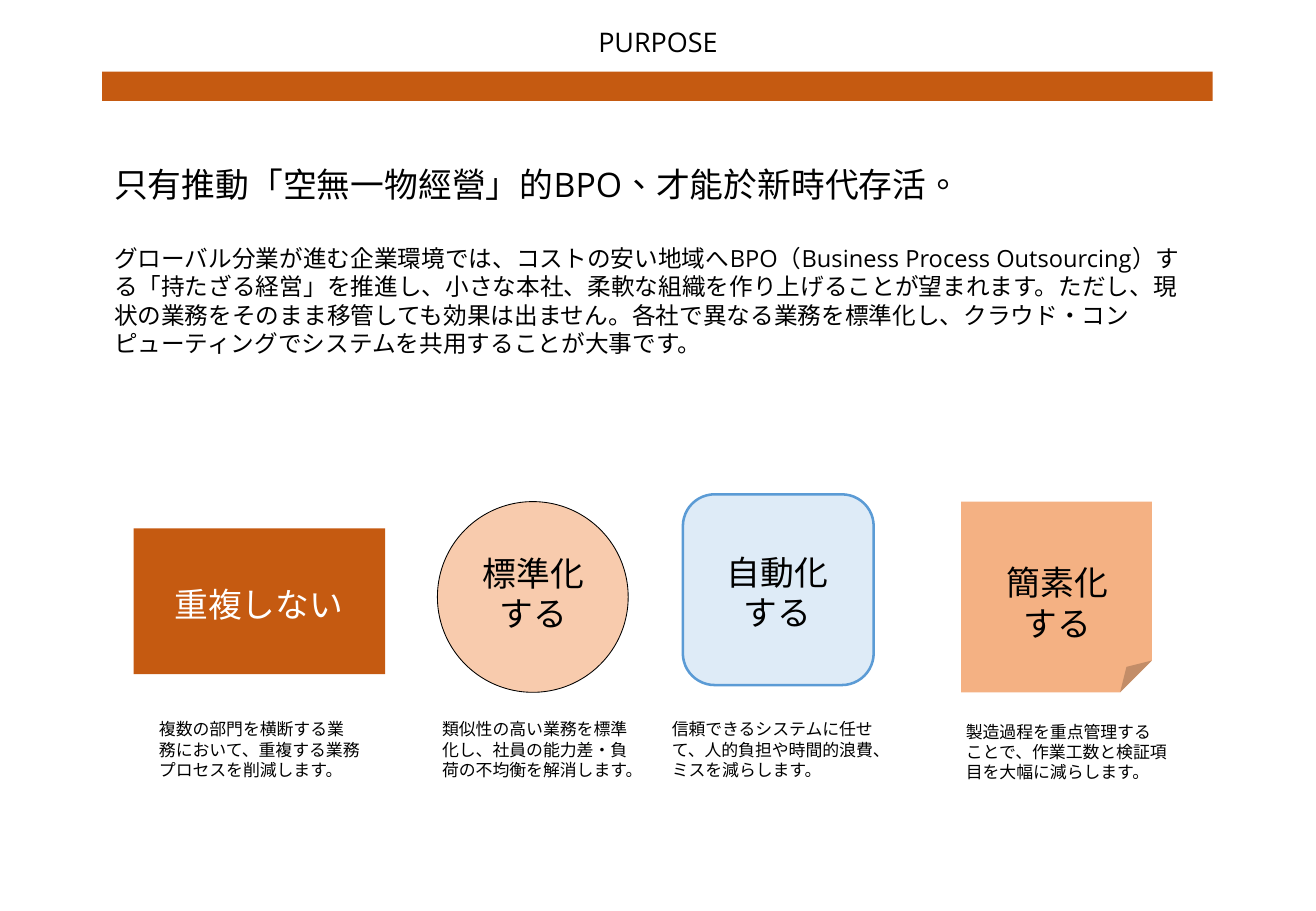
from pptx import Presentation
from pptx import util as u
from pptx.dml.color import RGBColor
from pptx.enum import lang, shapes, text
from pptx.oxml.ns import qn
from lxml import etree

PX = 9144  # 100 px to the inch
BODY_FONT = "Open Sans"
LABEL_FONT = "Noto Sans CJK JP"
ORANGE, BLACK, WHITE = "C55A11", "000000", "FFFFFF"
JAPANESE = lang.MSO_LANGUAGE_ID.JAPANESE
CHINESE = lang.MSO_LANGUAGE_ID.TRADITIONAL_CHINESE
SHAPE = shapes.MSO_SHAPE

HEADING = "只有推動「空無一物經營」的BPO、才能於新時代存活。"
SUMMARY = (
    "グローバル分業が進む企業環境では、コストの安い地域へBPO（Business Process Outsourcing）"
    "する「持たざる経営」を推進し、小さな本社、柔軟な組織を作り上げることが望まれます。"
    "ただし、現状の業務をそのまま移管しても効果は出ません。各社で異なる業務を標準化し、"
    "クラウド・コンピューティングでシステムを共用することが大事です。"
)

# shape kind, shape box, fill, (line colour, width), label, label box, label colour, note, note left and top
PRINCIPLES = [
    (SHAPE.RECTANGLE, (110, 435, 207, 120), ORANGE, None,
     "重複しない", (133, 476, 160, 44), WHITE,
     "複数の部門を横断する業務において、重複する業務プロセスを削減します。", (121, 587)),
    (SHAPE.OVAL, (360, 413, 157, 157), "F8CBAD", (BLACK, 0.5),
     "標準化\nする", (387, 450, 104, 77), BLACK,
     "類似性の高い業務を標準化し、社員の能力差・負荷の不均衡を解消します。", (354, 587)),
    (SHAPE.ROUNDED_RECTANGLE, (562, 407, 157, 157), "DEEBF7", ("5B9BD5", 1.5),
     "自動化\nする", (588, 449, 104, 77), BLACK,
     "信頼できるシステムに任せて、人的負担や時間的浪費、ミスを減らします。", (543, 587)),
    (SHAPE.FOLDED_CORNER, (791, 413, 157, 157), "F4B183", None,
     "簡素化\nする", (818, 458, 104, 77), BLACK,
     "製造過程を重点管理することで、作業工数と検証項目を大幅に減らします。", (785, 589)),
]


def color(value):
    return RGBColor.from_string(value)


def emu(box):
    return [length * PX for length in box]


def write(frame, content, size, font=BODY_FONT, fill=BLACK, centered=False,
          wrap=True, language=JAPANESE):
    """Put one paragraph into a text frame and format it."""
    frame.word_wrap = wrap
    frame.auto_size = text.MSO_AUTO_SIZE.NONE
    frame.vertical_anchor = text.MSO_ANCHOR.TOP
    paragraph = frame.paragraphs[0]
    paragraph.text = content
    paragraph.alignment = text.PP_ALIGN.CENTER if centered else text.PP_ALIGN.LEFT
    for run in paragraph.runs:
        run.font.size = u.Pt(size)
        run.font.name = font
        run.font.color.rgb = color(fill)
        run.font.language_id = language
        latin = run.font._element.find(qn("a:latin"))
        east_asian = etree.Element(qn("a:ea"), typeface=font)
        latin.addnext(east_asian)


def add_title(slide, content, box):
    title = slide.shapes.title
    title.left, title.top, title.width, title.height = emu(box)
    write(title.text_frame, content, 16, centered=True)


def add_text(slide, content, box, size, **style):
    write(slide.shapes.add_textbox(*emu(box)).text_frame, content, size, **style)


def add_figure(slide, kind, box, fill, line=None):
    shape = slide.shapes.add_shape(kind, *emu(box))
    shape.shadow.inherit = False
    shape.fill.solid()
    shape.fill.fore_color.rgb = color(fill)
    if line:
        line_color, width = line
        shape.line.color.rgb = color(line_color)
        shape.line.width = u.Pt(width)
    else:
        shape.line.fill.background()


def add_principle(slide, kind, box, fill, line, label, label_box, label_color, note, note_at):
    add_figure(slide, kind, box, fill, line)
    add_text(slide, label, label_box, 20, font=LABEL_FONT, fill=label_color,
             centered=True, wrap=False)
    add_text(slide, note, (*note_at, 185, 61), 10)


def main():
    presentation = Presentation()
    presentation.slide_width, presentation.slide_height = emu((1083, 750))
    slide = presentation.slides.add_slide(presentation.slide_layouts[5])
    add_title(slide, "PURPOSE", (459, 16, 165, 37))
    add_figure(slide, SHAPE.RECTANGLE, (84, 59, 914, 24), ORANGE)
    add_text(slide, HEADING, (84, 130, 914, 44), 20, language=CHINESE)
    add_text(slide, SUMMARY, (84, 196, 914, 104), 14)
    for principle in PRINCIPLES:
        add_principle(slide, *principle)
    presentation.save("out.pptx")


if __name__ == "__main__":
    main()
